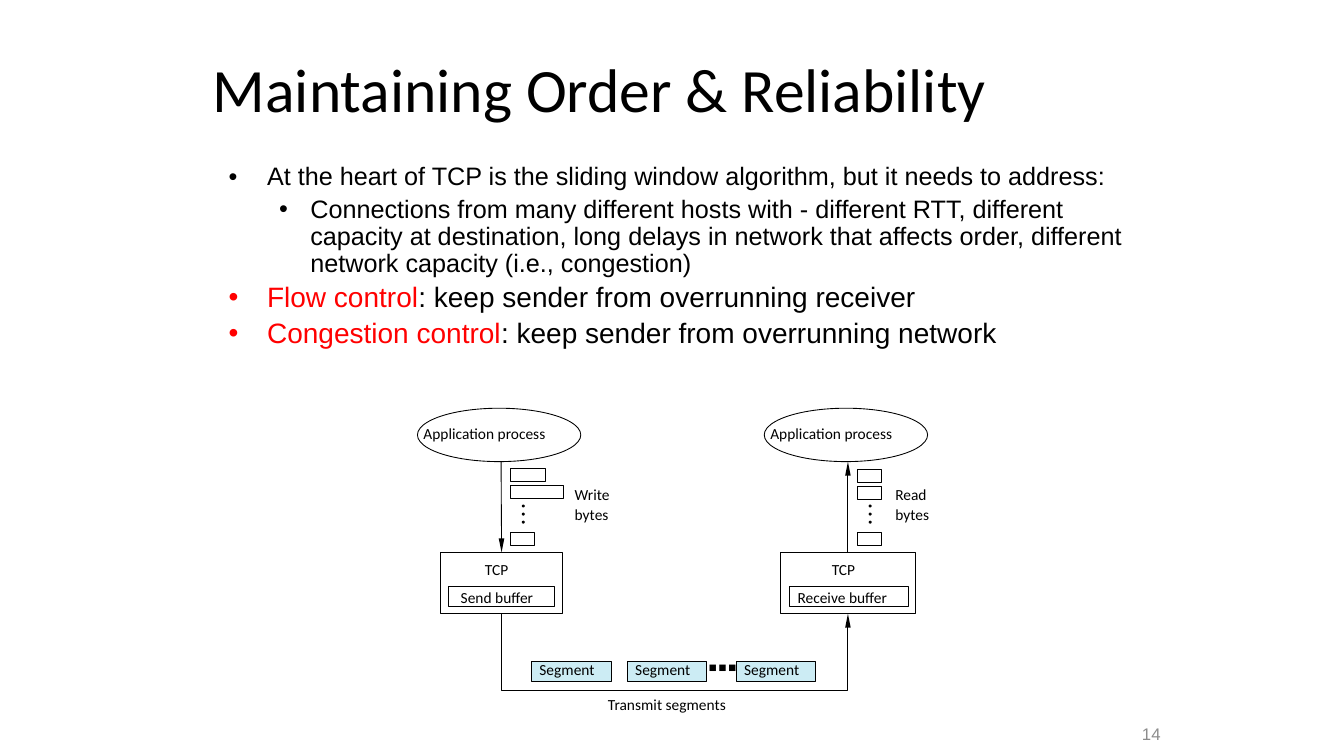
from dataclasses import dataclass

from lxml.etree import SubElement
from pptx import Presentation
from pptx.dml.color import RGBColor
from pptx.enum.shapes import MSO_CONNECTOR, MSO_SHAPE
from pptx.enum.text import MSO_ANCHOR, MSO_AUTO_SIZE, PP_ALIGN
from pptx.oxml.ns import qn
from pptx.util import Inches, Pt

COLORS = {"black": "000000", "white": "FFFFFF", "red": "FF0000",
          "segment": "CCECF4", "number": "8C8C8C"}
LINE_WIDTH = Pt(0.63)
SIDE_GAP = 3.44  # distance from the sender to the receiver
FLOW_X = 4.97  # vertical line of the sender
BOX_TOP, BOX_HEIGHT = 5.48, 0.61
PROCESS_TOP, PROCESS_HEIGHT = 4.05, 0.53


@dataclass
class Label:
    text: str
    left: float
    top: float
    width: float
    size: float = 11


@dataclass
class Box:
    left: float
    top: float
    width: float
    height: float
    fill: str | None = None
    preset: MSO_SHAPE = MSO_SHAPE.RECTANGLE


@dataclass
class Side:
    offset: float
    tcp: Box
    buffer: Box
    buffer_label: Label
    action: Label
    packets: list[tuple[float, float]]  # top and width
    sends: bool


@dataclass
class Bullet:
    lead: str
    text: str
    size: int
    level: int = 0
    margin: float = 0.38
    indent: float = -0.38


SIDES = [
    Side(0, Box(4.37, BOX_TOP, 1.21, BOX_HEIGHT, "white"),
         Box(4.45, 5.82, 1.05, 0.2), Label("Send buffer", 4.57, 5.83, 0.73),
         Label("Write", 5.7, 4.81, 0.37),
         [(4.65, 0.35), (4.82, 0.53), (5.28, 0.24)], True),
    Side(SIDE_GAP, Box(7.74, BOX_TOP, 1.34, BOX_HEIGHT, "white"),
         Box(7.83, 5.82, 1.18, 0.2), Label("Receive buffer", 7.91, 5.83, 0.91),
         Label("Read", 8.88, 4.81, 0.32),
         [(4.66, 0.24), (4.83, 0.24), (5.28, 0.24)], False),
]
BULLETS = [
    Bullet("", "At the heart of TCP is the sliding window algorithm, "
               "but it needs to address:", 18),
    Bullet("", "Connections from many different hosts with - different RTT, "
               "different capacity at destination, long delays in network that "
               "affects order, different network capacity (i.e., congestion)",
           18, 1, 0.81, -0.31),
    Bullet("Flow control", ": keep sender from overrunning receiver", 20),
    Bullet("Congestion control", ": keep sender from overrunning network", 20),
]


def color(name: str) -> RGBColor:
    return RGBColor.from_string(COLORS[name])


def set_font(font, name: str, size: float, color_name: str) -> None:
    font.name, font.size = name, Pt(size)
    font.color.rgb = color(color_name)


def set_line(shape) -> None:
    shape.line.color.rgb = color("black")
    shape.line.width = LINE_WIDTH


def add_arrowhead(shape) -> None:
    SubElement(shape.line._get_or_add_ln(), qn("a:tailEnd"),
               type="triangle", w="sm", len="lg")


def set_indent(paragraph, margin: float, indent: float) -> None:
    properties = paragraph._p.get_or_add_pPr()
    properties.set("marL", str(Inches(margin)))
    properties.set("indent", str(Inches(indent)))


def add_box(slide, box: Box):
    shape = slide.shapes.add_shape(box.preset, Inches(box.left), Inches(box.top),
                                   Inches(box.width), Inches(box.height))
    shape.shadow.inherit = False
    set_line(shape)
    if box.fill:
        shape.fill.solid()
        shape.fill.fore_color.rgb = color(box.fill)
    else:
        shape.fill.background()
    return shape


def add_label(slide, label: Label) -> None:
    text_box = slide.shapes.add_textbox(Inches(label.left), Inches(label.top),
                                        Inches(label.width), Inches(0.19))
    frame = text_box.text_frame
    frame.margin_left = frame.margin_right = frame.margin_top = frame.margin_bottom = 0
    frame.word_wrap = False
    frame.auto_size = MSO_AUTO_SIZE.SHAPE_TO_FIT_TEXT
    frame.text = label.text
    set_font(frame.paragraphs[0].font, "Calibri", label.size, "black")


def add_title(slide) -> None:
    title = slide.shapes.title
    title.left, title.top = Inches(2.01), Inches(0.49)
    title.width, title.height = Inches(9.32), Inches(0.63)
    frame = title.text_frame
    frame.margin_left = frame.margin_right = Inches(0.1)
    frame.margin_top = frame.margin_bottom = Inches(0.1)
    frame.auto_size = MSO_AUTO_SIZE.NONE
    frame.vertical_anchor = MSO_ANCHOR.TOP
    frame.text = "Maintaining Order & Reliability"
    paragraph = frame.paragraphs[0]
    paragraph.alignment = PP_ALIGN.LEFT
    paragraph.line_spacing = 0.9
    set_indent(paragraph, 0, -0.08)
    set_font(paragraph.font, "Calibri", 44, "black")


def add_bullets(slide) -> None:
    frame = slide.shapes.add_textbox(Inches(2.17), Inches(1.58),
                                     Inches(9.08), Inches(1.83)).text_frame
    frame.word_wrap = True
    for index, bullet in enumerate(BULLETS):
        paragraph = frame.add_paragraph() if index else frame.paragraphs[0]
        paragraph.level = bullet.level
        paragraph.line_spacing = 0.9
        paragraph.space_before = Pt(bullet.size * 0.2)
        set_indent(paragraph, bullet.margin, bullet.indent)
        properties = paragraph._p.get_or_add_pPr()
        SubElement(properties, qn("a:buFont"), typeface="Arial")
        SubElement(properties, qn("a:buChar"), char="•")
        for text, color_name in ((bullet.lead, "red"), (bullet.text, "black")):
            if text:
                run = paragraph.add_run()
                run.text = text
                set_font(run.font, "Arial", bullet.size, color_name)


def add_side(slide, side: Side) -> None:
    # Application process and TCP box with its buffer
    add_box(slide, Box(4.14 + side.offset, PROCESS_TOP, 1.62, PROCESS_HEIGHT,
                       "white", MSO_SHAPE.OVAL))
    tcp = add_box(slide, side.tcp)
    add_box(slide, side.buffer)
    for label in (Label("Application process", 4.2 + side.offset, 4.21, 1.22),
                  Label("TCP", 4.81 + side.offset, 5.56, 0.24),
                  side.buffer_label, side.action,
                  Label("bytes", side.action.left, 5.01, 0.34)):
        add_label(slide, label)

    # Bytes waiting beside the arrow
    for top, width in side.packets:
        add_box(slide, Box(5.06 + side.offset, top, width, 0.13))
    for index in range(3):
        add_box(slide, Box(5.18 + side.offset, 5.01 + index * 0.08, 0.02, 0.02,
                           "black", MSO_SHAPE.OVAL))

    # Arrow between process and TCP
    x = Inches(FLOW_X + side.offset)
    ends = [Inches(PROCESS_TOP + PROCESS_HEIGHT), Inches(BOX_TOP)]
    begin_y, end_y = ends if side.sends else ends[::-1]
    arrow = slide.shapes.add_connector(MSO_CONNECTOR.STRAIGHT, x, begin_y, x, end_y)
    (arrow.end_connect if side.sends else arrow.begin_connect)(tcp, 0)
    set_line(arrow)
    add_arrowhead(arrow)
    SubElement(arrow._element.spPr, qn("a:effectLst"))


def add_transmission(slide) -> None:
    # Path from the sender to the receiver
    start, bottom = Inches(BOX_TOP + BOX_HEIGHT), Inches(6.85)
    sender_x, receiver_x = Inches(FLOW_X), Inches(FLOW_X + SIDE_GAP)
    builder = slide.shapes.build_freeform(sender_x, start)
    builder.add_line_segments([(sender_x, bottom), (receiver_x, bottom),
                               (receiver_x, start)], close=False)
    route = builder.convert_to_shape()
    route.shadow.inherit = False
    route.fill.background()
    set_line(route)
    add_arrowhead(route)

    # Segments on the way
    for left in (5.27, 6.22, 7.3):
        add_box(slide, Box(left, 6.56, 0.79, 0.2, "segment"))
        add_label(slide, Label("Segment", left + 0.08, 6.55, 0.55))
    add_label(slide, Label("■ ■ ■", 7.03, 6.57, 0.28, 6))
    add_label(slide, Label("Transmit segments", 6.03, 6.9, 1.19))


def add_slide_number(slide) -> None:
    frame = slide.shapes.add_textbox(Inches(10.93), Inches(7.2),
                                     Inches(0.68), Inches(0.15)).text_frame
    frame.word_wrap = True
    frame.vertical_anchor = MSO_ANCHOR.MIDDLE
    frame.text = "14"
    frame.paragraphs[0].alignment = PP_ALIGN.RIGHT
    set_font(frame.paragraphs[0].font, "Arial", 12, "number")


def main() -> None:
    presentation = Presentation()
    presentation.slide_width, presentation.slide_height = Inches(13.33), Inches(7.5)
    slide = presentation.slides.add_slide(presentation.slide_layouts[5])
    add_title(slide)
    add_bullets(slide)
    for side in SIDES:
        add_side(slide, side)
    add_transmission(slide)
    add_slide_number(slide)
    presentation.save("out.pptx")


if __name__ == "__main__":
    main()
